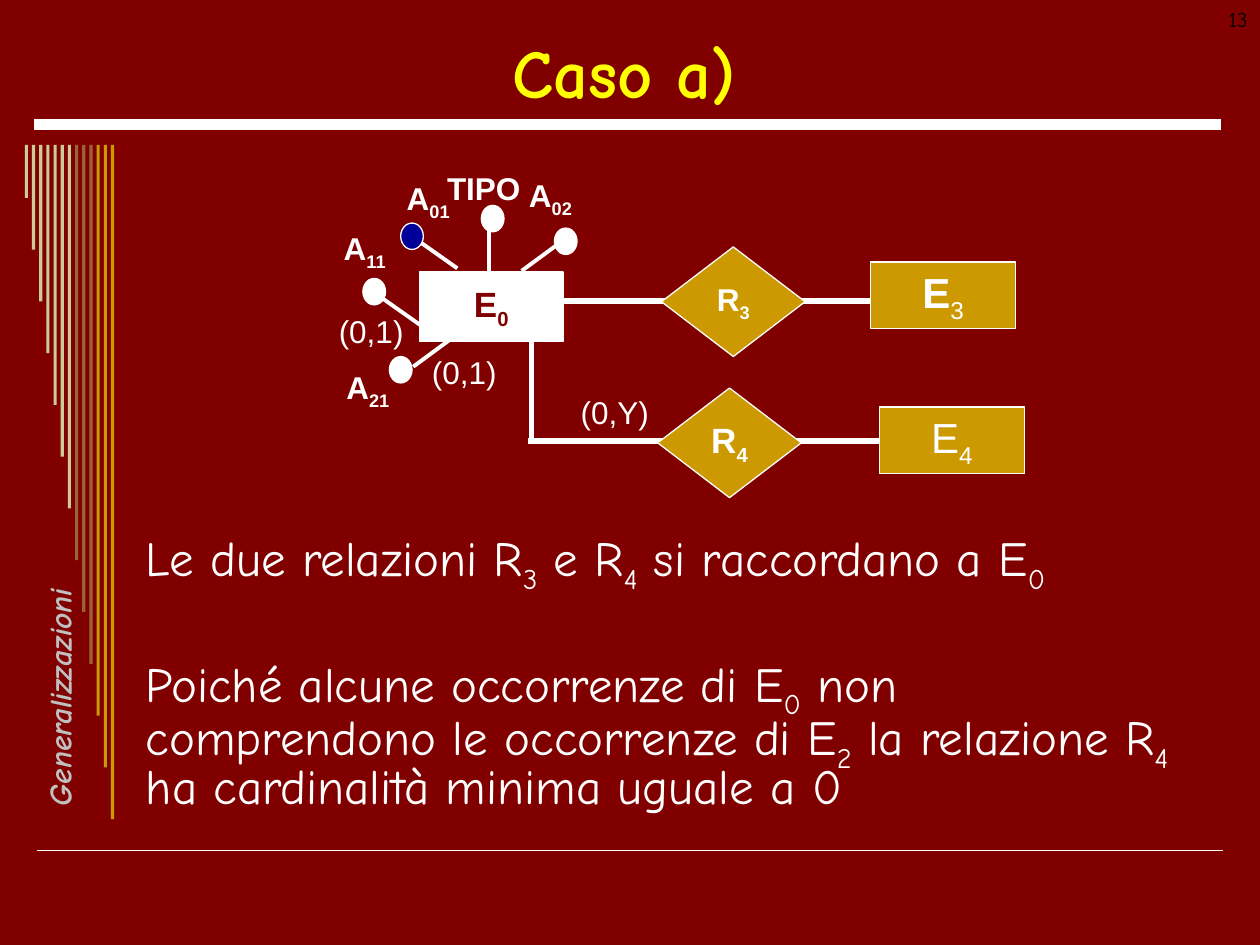
import pptx
import pptx.util
import pptx.dml.color
import pptx.enum.shapes
import pptx.enum.text
from lxml import etree

RGB = pptx.dml.color.RGBColor
SHAPE = pptx.enum.shapes.MSO_SHAPE
ANCHOR = pptx.enum.text.MSO_ANCHOR
ALIGN = pptx.enum.text.PP_ALIGN
Pt = pptx.util.Pt

MAROON = RGB(0x80, 0x00, 0x00)
WHITE = RGB(0xFF, 0xFF, 0xFF)
YELLOW = RGB(0xFF, 0xFF, 0x00)
GOLD = RGB(0xCC, 0x99, 0x00)
BROWN = RGB(0x99, 0x66, 0x33)
TAN = RGB(0xCC, 0xCC, 0x99)
BLUE = RGB(0x00, 0x00, 0x99)
SILVER = RGB(0xC0, 0xC0, 0xC0)
BLACK = RGB(0x00, 0x00, 0x00)


class Deck:
    """Draws on one slide, measured on a grid of 100 columns by 75 rows."""

    hand = "Comic Neue"
    sans = "Arial"

    def __init__(self):
        self.show = pptx.Presentation()
        self.show.slide_width = pptx.util.Inches(10)
        self.show.slide_height = pptx.util.Inches(7.5)
        self.slide = self.show.slides.add_slide(self.show.slide_layouts[6])
        self.slide.background.fill.solid()
        self.slide.background.fill.fore_color.rgb = MAROON

    def grid(self, *spans):
        return [pptx.util.Inches(span / 10) for span in spans]

    def line(self, start, end, width):
        kind = pptx.enum.shapes.MSO_CONNECTOR.STRAIGHT
        link = self.slide.shapes.add_connector(kind, *self.grid(*start, *end))
        link.line.color.rgb = WHITE
        link.line.width = Pt(width)
        etree.SubElement(link._element.spPr, pptx.oxml.ns.qn("a:effectLst"))

    def shape(self, kind, box, fill, edge=True):
        item = self.slide.shapes.add_shape(kind, *self.grid(*box))
        item.shadow.inherit = False
        item.fill.solid()
        item.fill.fore_color.rgb = fill
        if edge:
            item.line.color.rgb = WHITE
            item.line.width = Pt(0.75)
        else:
            item.line.fill.background()
        return item

    def words(self, para, text, size, color, font, bold=False, align=None):
        """Fills a paragraph; parts between underscores become subscripts."""
        para.alignment = align
        style = para.font
        style.size, style.name, style.bold = Pt(size), font, bold
        style.color.rgb = color
        for spot, part in enumerate(text.split("_")):
            if part:
                run = para.add_run()
                run.text = part
                if spot % 2:
                    run._r.get_or_add_rPr().set("baseline", "-25000")

    def node(self, kind, box, text, size, fill=GOLD, color=WHITE, bold=True):
        frame = self.shape(kind, box, fill).text_frame
        frame.word_wrap = False
        frame.vertical_anchor = ANCHOR.MIDDLE
        para = frame.paragraphs[0]
        self.words(para, text, size, color, self.sans, bold, ALIGN.CENTER)
        return para

    def text(self, box, text, size, color=WHITE, font=sans, bold=False, align=None):
        item = self.slide.shapes.add_textbox(*self.grid(*box))
        item.text_frame.word_wrap = True
        self.words(item.text_frame.paragraphs[0], text, size, color, font, bold, align)
        return item

    def body(self, box, texts, size, gap):
        frame = self.slide.shapes.add_textbox(*self.grid(*box)).text_frame
        frame.word_wrap = True
        for spot, text in enumerate(texts):
            para = frame.add_paragraph() if spot else frame.paragraphs[0]
            para.line_spacing = 0.8
            if spot:
                para.space_before = Pt(gap)
            self.words(para, text, size, WHITE, self.hand)


def main():
    deck = Deck()
    deck.line((2.9, 67.5), (97.1, 67.5), 1)
    deck.line((2.7, 9.9), (96.9, 9.9), 6)
    for step, tint in enumerate([TAN] * 7 + [BROWN] * 3 + [GOLD] * 3):
        bar = (1.97 + 0.57 * step, 11.5, 0.25, 4.2 + 4.11 * step)
        deck.shape(SHAPE.RECTANGLE, bar, tint, edge=False)

    side = deck.text((-7.5, 52.4, 22.8, 2.4), "Generalizzazioni", 18, SILVER, deck.hand, True)
    side.rotation = 270
    side.text_frame.word_wrap = False
    side.text_frame.paragraphs[0].font.italic = True

    title = deck.text((3.5, 2.1, 92.1, 7.1), "Caso a)", 39, YELLOW, deck.hand, True, ALIGN.CENTER)
    title.text_frame.vertical_anchor = ANCHOR.MIDDLE
    deck.body((10.6, 41.9, 85.2, 23.9), [
        "Le due relazioni R_3_ e R_4_ si raccordano a E_0_",
        "Poiché alcune occorrenze di E_0_ non comprendono le occorrenze di E_2_"
        " la relazione R_4_ ha cardinalità minima uguale a 0",
    ], 28, 41)

    deck.node(SHAPE.RECTANGLE, (33.3, 21.6, 11.4, 5.5), "E_0", 20, WHITE, MAROON)
    for name, place, dot, fill, start, end in [
        ("A_01", (31.3, 13.7, 7.4, 4.4), (31.8, 17.7), BLUE, (36.3, 21.3), (32.9, 18.9)),
        ("A_02", (41, 13.5, 7.4, 4.4), (44, 18.1), WHITE, (41.4, 21.5), (44.8, 19)),
        ("A_11", (26.3, 17.7, 7.4, 4.4), (28.8, 22.1), WHITE, (33.5, 25.9), (30.1, 23.5)),
        ("A_21", (26.5, 28.7, 7.4, 4.4), (30.9, 28.3), WHITE, (32.8, 29.1), (36.2, 26.6)),
        ("TIPO", (34.5, 12.9, 8.7, 4), (38.2, 16.3), WHITE, (38.8, 21.5), (38.8, 18.1)),
    ]:
        deck.line(start, end, 2.25)
        deck.shape(SHAPE.OVAL, (*dot, 1.8, 2.1), fill)
        deck.text(place, name, 18, bold=True)
    for left, top, card in [(25.9, 24.3, "(0,1)"), (33.3, 27.5, "(0,1)"), (45.1, 30.7, "(0,Y)")]:
        deck.text((left, top, 7.8, 4), card, 18)

    deck.line((41.9, 35), (77.4, 35), 3)
    deck.line((43.7, 23.9), (70.4, 23.9), 3)
    deck.line((42.2, 26.7), (42.2, 35.2), 3)
    deck.node(SHAPE.DIAMOND, (52.5, 19.6, 11.4, 8.7), "R_3", 18)
    deck.node(SHAPE.DIAMOND, (52.2, 30.8, 11.4, 8.7), "R_4", 20)
    third = deck.node(SHAPE.RECTANGLE, (69.1, 20.8, 11.5, 5.3), "E_3", 24)
    third.runs[1].font.bold = False
    deck.node(SHAPE.RECTANGLE, (69.8, 32.3, 11.5, 5.3), "E_4", 24, bold=False)
    deck.text((76.7, 0, 23.3, 5), "13", 12, BLACK, deck.hand, align=ALIGN.RIGHT)
    deck.show.save("out.pptx")


if __name__ == "__main__":
    main()
